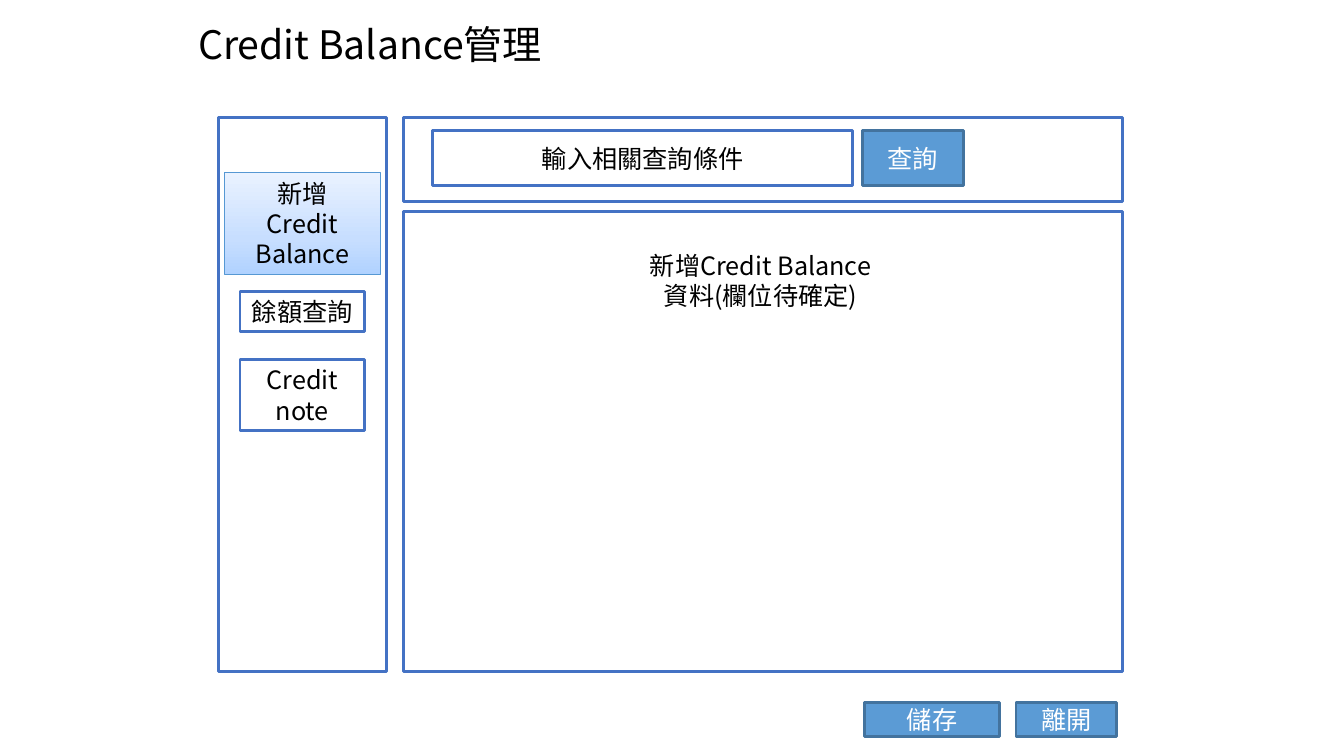
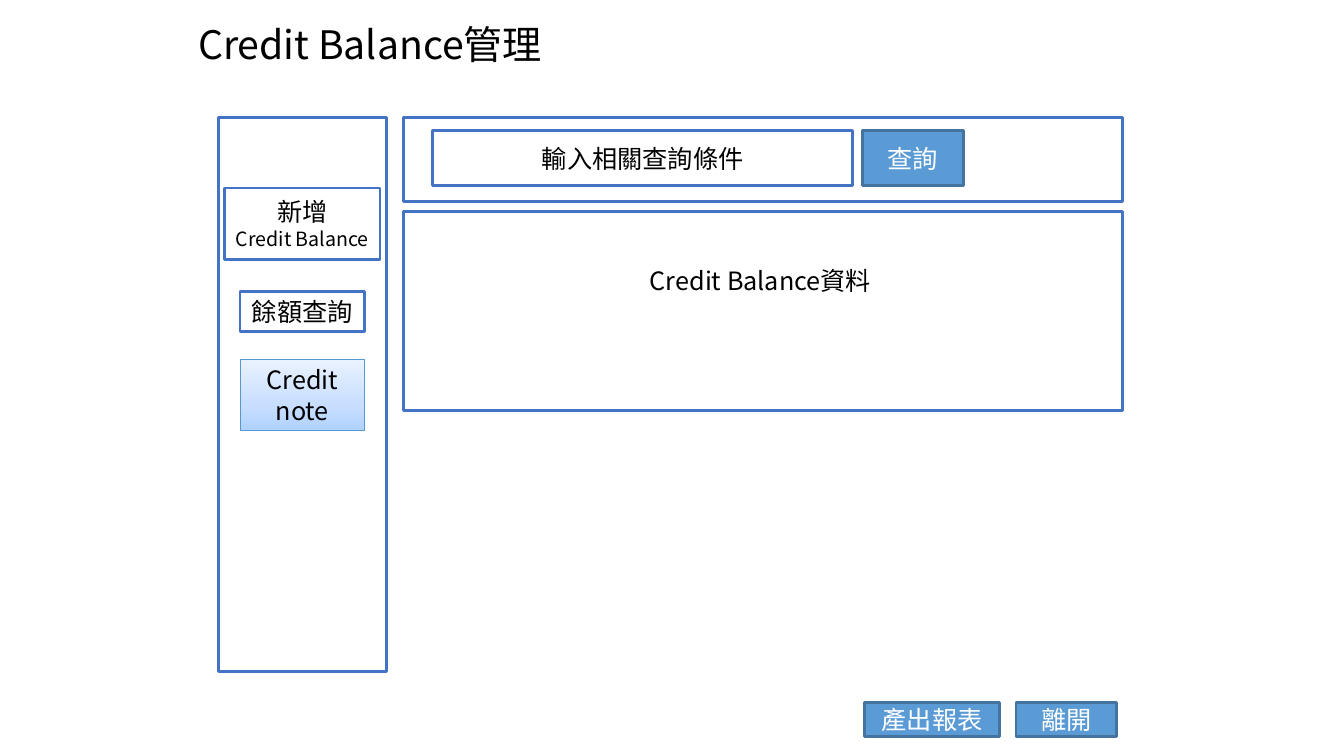
from collections import namedtuple
from copy import deepcopy

from lxml import etree
from pptx import Presentation
from pptx.dml.color import RGBColor
from pptx.enum.shapes import MSO_SHAPE
from pptx.enum.text import MSO_ANCHOR, PP_ALIGN
from pptx.oxml.ns import qn
from pptx.util import Pt

RECTANGLE = MSO_SHAPE.RECTANGLE
MIDDLE = MSO_ANCHOR.MIDDLE
CENTER = PP_ALIGN.CENTER
LEFT = PP_ALIGN.LEFT

FONT = "Noto Sans CJK SC"
BODY_SIZE = 18
COLORS = {
    "black": "000000",
    "white": "FFFFFF",
    "frame": "4472C4",
    "button": "5B9BD5",
    "button_line": "43739E",
    "active_line": "5698D3",
}
ACTIVE_STOPS = [(0, "B0D2FF"), (0.35, "C7DEFF"), (1, "EAF2FF")]

Box = namedtuple("Box", "left top width height")
Style = namedtuple("Style", "fill line line_width text")
MenuItem = namedtuple("MenuItem", "lines middle width height")

STYLES = {
    "frame": Style("white", "frame", 2, "black"),
    "button": Style("button", "button_line", 2, "white"),
    "active": Style(None, "active_line", 0.75, "black"),
}

TITLE = Box(138, 12, 648, 43)
SIDEBAR = Box(156, 84, 120, 396)
SEARCH = Box(288, 84, 514, 60)
FOOTER = Box(617.75, 502, 180, 24)


def rgb(name):
    return RGBColor.from_string(COLORS[name])


def in_points(box):
    return [Pt(length) for length in box]


def write_lines(shape, lines, color, align=CENTER, spacing=1):
    frame = shape.text_frame
    frame.word_wrap = True
    frame.vertical_anchor = MIDDLE
    for index, (text, size) in enumerate(lines):
        para = frame.paragraphs[0] if index == 0 else frame.add_paragraph()
        para.alignment = align
        para.line_spacing = spacing
        span = para.add_run()
        span.text = text
        span.font.name = FONT
        span.font.size = Pt(size)
        span.font.color.rgb = rgb(color)
        east_asian = etree.SubElement(span.font._element, qn("a:ea"))
        east_asian.set("typeface", FONT)
    return frame


def fill_active(shape):
    shape.fill.gradient()
    shape.fill.gradient_angle = 90
    stop_list = shape._element.spPr.find(qn("a:gradFill")).find(qn("a:gsLst"))
    stop_list.insert(1, deepcopy(stop_list[0]))
    for stop, (position, color) in zip(shape.fill.gradient_stops, ACTIVE_STOPS):
        stop.position = position
        stop.color.rgb = RGBColor.from_string(color)


def add_panel(page, box, style_name="frame", lines=()):
    style = STYLES[style_name]
    panel = page.shapes.add_shape(RECTANGLE, *in_points(box))
    panel.shadow.inherit = False
    if style.fill:
        panel.fill.solid()
        panel.fill.fore_color.rgb = rgb(style.fill)
    else:
        fill_active(panel)
    panel.line.color.rgb = rgb(style.line)
    panel.line.width = Pt(style.line_width)
    write_lines(panel, lines, style.text)


def add_title(page, box):
    title = page.shapes.add_textbox(*in_points(box))
    frame = write_lines(title, [("Credit Balance管理", 28)], "black", LEFT, 0.9)
    frame.margin_left = frame.margin_right = Pt(3.6)
    frame.margin_top = frame.margin_bottom = Pt(3.6)


def add_sidebar(page, box, items, active):
    add_panel(page, box)
    for index, item in enumerate(items):
        place = Box(
            box.left + (box.width - item.width) / 2,
            box.top + item.middle - item.height / 2,
            item.width,
            item.height,
        )
        add_panel(page, place, "active" if index == active else "frame", item.lines)


def add_search(page, box):
    add_panel(page, box)
    top = box.top + 9.5
    condition = Box(box.left + 21, top, 300, 39)
    button = Box(condition.left + condition.width + 7, top, 72, 39)
    add_panel(page, condition, "frame", [("輸入相關查詢條件", BODY_SIZE)])
    add_panel(page, button, "button", [("查詢", BODY_SIZE)])


def add_content(page, box, text):
    add_panel(page, box)
    place = Box(box.left + 168.5, box.top + 24, 173.5, 51)
    label = page.shapes.add_textbox(*in_points(place))
    write_lines(label, [(text, BODY_SIZE)], "black")


def add_footer(page, box, action):
    action_width, exit_width = 96, 72
    action_box = Box(box.left, box.top, action_width, box.height)
    exit_left = box.left + box.width - exit_width
    exit_box = Box(exit_left, box.top, exit_width, box.height)
    add_panel(page, action_box, "button", [(action, BODY_SIZE)])
    add_panel(page, exit_box, "button", [("離開", BODY_SIZE)])


def add_screen(deck, create_item, active, content_height, content_text, action):
    page = deck.slides.add_slide(deck.slide_layouts[6])
    items = [
        create_item,
        MenuItem([("餘額查詢", BODY_SIZE)], 138.5, 89, 29),
        MenuItem([("Credit note", BODY_SIZE)], 198, 89, 51),
    ]
    content = Box(SEARCH.left, 151, SEARCH.width, content_height)
    add_title(page, TITLE)
    add_sidebar(page, SIDEBAR, items, active)
    add_search(page, SEARCH)
    add_content(page, content, content_text)
    add_footer(page, FOOTER, action)


def create_menu_item(size, height):
    lines = [("新增", BODY_SIZE), ("Credit Balance", size)]
    return MenuItem(lines, 75.75, 111, height)


def main():
    deck = Presentation()
    deck.slide_width = Pt(960)
    deck.slide_height = Pt(540)
    add_screen(
        deck, create_menu_item(BODY_SIZE, 73), 0,
        328.5, "新增Credit Balance資料(欄位待確定)", "儲存",
    )
    add_screen(
        deck, create_menu_item(14, 51), 2,
        142.5, "Credit Balance資料", "產出報表",
    )
    deck.save("out.pptx")


if __name__ == "__main__":
    main()
